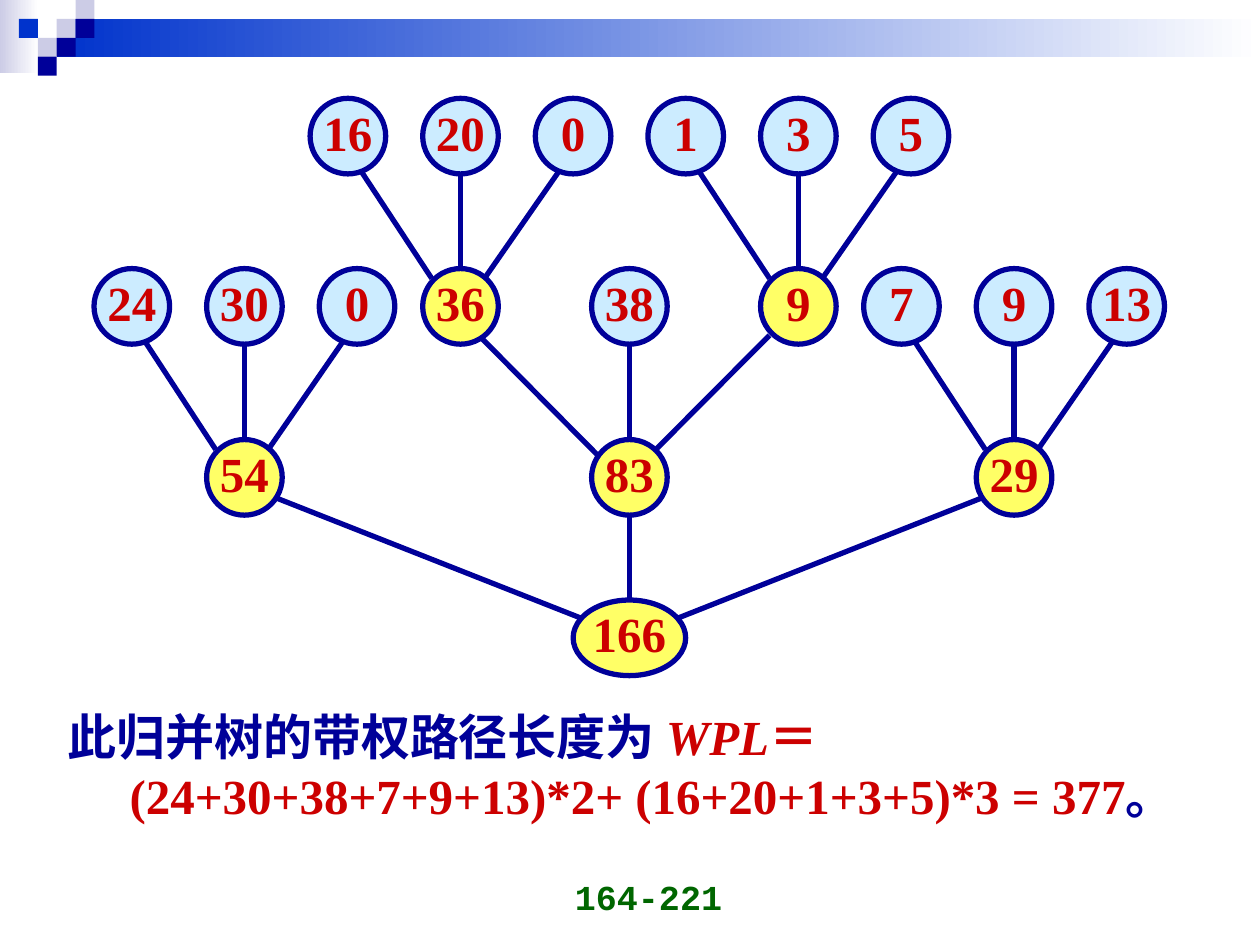
from dataclasses import dataclass

from lxml.etree import SubElement
from pptx import Presentation
from pptx.dml.color import RGBColor
from pptx.enum.shapes import MSO_CONNECTOR, MSO_SHAPE
from pptx.enum.text import MSO_ANCHOR, PP_ALIGN
from pptx.oxml.ns import qn
from pptx.util import Pt

NAVY = RGBColor(0x00, 0x00, 0x99)
BLUE = RGBColor(0x00, 0x33, 0xCC)
LILAC = RGBColor(0xCC, 0xCC, 0xE6)
WHITE = RGBColor(0xFF, 0xFF, 0xFF)
SKY = RGBColor(0xCC, 0xEC, 0xFF)
YELLOW = RGBColor(0xFF, 0xFF, 0x66)
RED = RGBColor(0xCC, 0x00, 0x00)
GREEN = RGBColor(0x00, 0x66, 0x00)

ROMAN = "Times New Roman"
SIZE = 43.2  # node height
STEP = 64.35  # gap between sibling centres
UNIT = 10.8  # side of a corner square
ROWS = (77.8, 175.1, 272.8, 364.5)  # node centres, top to bottom


@dataclass(frozen=True)
class Node:
    text: str
    x: float
    row: int
    fill: RGBColor = SKY
    width: float = SIZE


@dataclass(frozen=True)
class Edge:
    """Offsets of a line's ends from the centres of child and parent."""
    child: tuple[float, float]
    parent: tuple[float, float]


@dataclass(frozen=True)
class Branch:
    root: Node
    kids: tuple[Node, ...]
    edges: tuple[Edge, ...]


@dataclass(frozen=True)
class Span:
    text: str
    color: RGBColor = RED
    slant: bool = False
    size: float = 28
    font: str = ROMAN


def add_box(slide, kind, left, top, width, height, fill):
    shape = slide.shapes.add_shape(kind, Pt(left), Pt(top), Pt(width), Pt(height))
    shape.shadow.inherit = False
    shape.fill.solid()
    shape.fill.fore_color.rgb = fill
    shape.line.fill.background()
    return shape


def add_fade(slide, left: float, top: float, width: float, height: float,
             color: RGBColor) -> None:
    shape = add_box(slide, MSO_SHAPE.RECTANGLE, left, top, width, height, color)
    shape.fill.gradient()
    shape.fill.gradient_angle = 0
    for stop, tone in zip(shape.fill.gradient_stops, (color, WHITE)):
        stop.color.rgb = tone


def add_span(para, span: Span) -> None:
    run = para.add_run()
    run.text = span.text
    font = run.font
    font.name, font.size = span.font, Pt(span.size)
    font.bold, font.italic = True, span.slant
    font.color.rgb = span.color


def add_text(slide, left: float, top: float, width: float, height: float):
    frame = slide.shapes.add_textbox(
        Pt(left), Pt(top), Pt(width), Pt(height)).text_frame
    frame.word_wrap = True
    return frame


def add_node(slide, node: Node) -> None:
    shape = add_box(slide, MSO_SHAPE.OVAL, node.x - node.width / 2,
                    ROWS[node.row] - SIZE / 2, node.width, SIZE, node.fill)
    shape.line.color.rgb = NAVY
    shape.line.width = Pt(3)
    frame = shape.text_frame
    frame.word_wrap = False
    frame.vertical_anchor = MSO_ANCHOR.MIDDLE
    para = frame.paragraphs[0]
    para.alignment = PP_ALIGN.CENTER
    para.line_spacing = 0.85
    add_span(para, Span(node.text))


def add_edge(slide, kid: Node, root: Node, edge: Edge) -> None:
    line = slide.shapes.add_connector(
        MSO_CONNECTOR.STRAIGHT,
        Pt(kid.x + edge.child[0]), Pt(ROWS[kid.row] + edge.child[1]),
        Pt(root.x + edge.parent[0]), Pt(ROWS[root.row] + edge.parent[1]))
    line.line.color.rgb = NAVY
    line.line.width = Pt(3)
    SubElement(line._element.spPr, qn("a:effectLst"))


def leaf_row(root: Node, *texts: str) -> tuple[Node, ...]:
    return tuple(Node(text, root.x + (i - 1) * STEP, root.row - 1)
                 for i, text in enumerate(texts))


def main() -> None:
    deck = Presentation()
    deck.slide_width, deck.slide_height = Pt(720), Pt(540)
    slide = deck.slides.add_slide(deck.slide_layouts[6])

    # Header band and corner squares
    add_fade(slide, 0, 0, 22, 42, LILAC)
    add_fade(slide, 3 * UNIT, UNIT, 720 - 3 * UNIT, 2 * UNIT, BLUE)
    squares = ((3, 1, LILAC), (4, 0, LILAC), (4, 1, NAVY), (2, 2, LILAC),
               (1, 1, BLUE), (3, 2, NAVY), (2, 3, NAVY))
    for col, row, color in squares:
        add_box(slide, MSO_SHAPE.RECTANGLE, col * UNIT, row * UNIT,
                UNIT, UNIT, color)

    # Merge tree
    mid = 359.7
    top = Node("166", mid, 3, YELLOW, 64.3)
    n54 = Node("54", 139.7, 2, YELLOW)
    n83 = Node("83", mid, 2, YELLOW)
    n29 = Node("29", 579.5, 2, YELLOW)
    n36 = Node("36", mid - 1.5 * STEP, 1, YELLOW)
    n38 = Node("38", mid, 1)
    n9 = Node("9", mid + 1.5 * STEP, 1, YELLOW)

    stem = Edge((0, SIZE / 2), (0, -SIZE / 2))
    steep = (Edge((5.2, 16.5), (-16.5, -16)), stem,
             Edge((-5.6, 16.5), (10.2, -11)))
    broad = (Edge((10.4, 16.5), (-16.5, -11)), stem,
             Edge((-16.5, 16.5), (10.2, -11)))
    wide = (Edge((16.2, 11), (-27, -11)), stem,
            Edge((-16.5, 11), (27, -11)))
    tree = (
        Branch(n36, leaf_row(n36, "16", "20", "0"), steep),
        Branch(n9, leaf_row(n9, "1", "3", "5"), steep),
        Branch(n54, leaf_row(n54, "24", "30", "0"), steep),
        Branch(n29, leaf_row(n29, "7", "9", "13"), steep),
        Branch(n83, (n36, n38, n9), broad),
        Branch(top, (n54, n83, n29), wide),
    )
    for branch in tree:
        for kid, edge in zip(branch.kids, branch.edges):
            add_edge(slide, kid, branch.root, edge)
    for branch in tree:
        for kid in branch.kids:
            add_node(slide, kid)
    add_node(slide, top)

    # Path length
    frame = add_text(slide, 18, 400.3, 671, 77)
    lines = (
        (13.5, (Span("此归并树的带权路径长度为 ", NAVY),
                Span("WPL", slant=True), Span("＝"))),
        (49, (Span("(24+30+38+7+9+13)*2+ (16+20+1+3+5)*3 = 377"),
              Span("。", NAVY))),
    )
    for i, (indent, spans) in enumerate(lines):
        para = frame.add_paragraph() if i else frame.paragraphs[0]
        para._p.get_or_add_pPr().set("marL", str(Pt(indent)))
        for span in spans:
            add_span(para, span)

    # Page number
    frame = add_text(slide, 252, 491.8, 167.8, 36)
    frame.vertical_anchor = MSO_ANCHOR.BOTTOM
    para = frame.paragraphs[0]
    para.alignment = PP_ALIGN.RIGHT
    add_span(para, Span("164-221", GREEN, size=20, font="Courier New"))

    deck.save("out.pptx")


if __name__ == "__main__":
    main()
